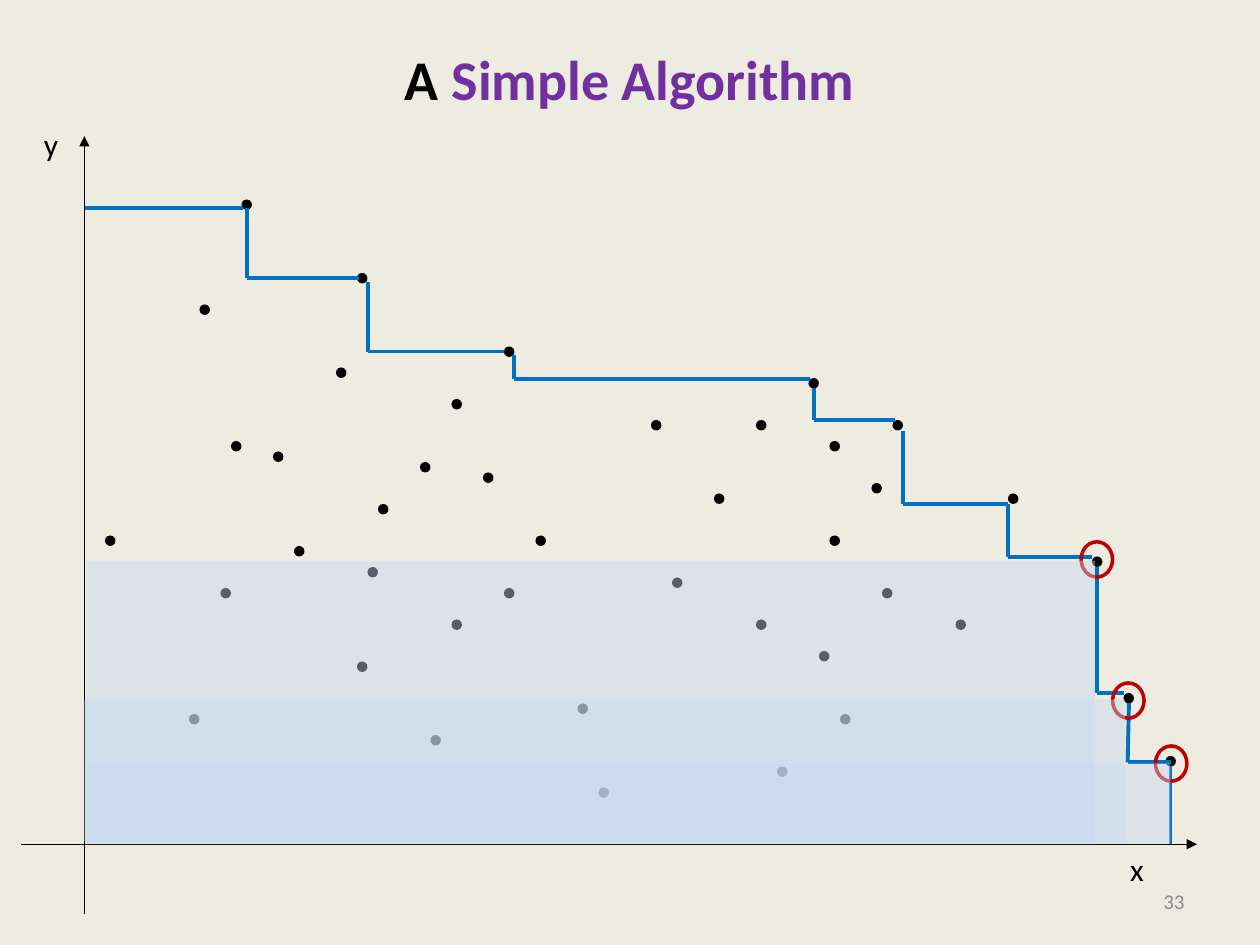
from dataclasses import dataclass

from lxml import etree
from pptx import Presentation
from pptx.dml.color import RGBColor
from pptx.enum import shapes, text
from pptx.oxml import ns
from pptx.util import Inches, Pt


@dataclass(frozen=True)
class Theme:
    font: str = "Calibri"
    back: str = "EEECE1"
    ink: str = "000000"
    accent: str = "7030A0"
    stair: str = "0070C0"
    ring: str = "C00000"
    shade: str = "C6D9F1"
    muted: str = "8C8C8C"
    title: int = 32
    label: int = 18
    small: int = 12


def color(code):
    return RGBColor.from_string(code)


def child(parent, tag, **attrs):
    return etree.SubElement(parent, ns.qn(tag), attrs)


class Board:
    def __init__(self, slide, theme):
        self.slide, self.theme = slide, theme
        fill = slide.background.fill
        fill.solid()
        fill.fore_color.rgb = color(theme.back)

    def label(self, box, runs, size, align="LEFT", anchor="TOP", bold=False, wrap=True):
        """Add a text box from (words, colour) runs."""
        frame = self.slide.shapes.add_textbox(*map(Inches, box)).text_frame
        frame.word_wrap = wrap
        frame.vertical_anchor = text.MSO_ANCHOR[anchor]
        if not wrap:
            frame.auto_size = text.MSO_AUTO_SIZE.SHAPE_TO_FIT_TEXT
        para = frame.paragraphs[0]
        para.alignment = text.PP_ALIGN[align]
        for words, code in runs:
            run = para.add_run()
            run.text = words
            run.font.name, run.font.size, run.font.bold = self.theme.font, Pt(size), bold
            run.font.color.rgb = color(code)

    def shape(self, kind, box, fill=None, edge=None, alpha=None):
        item = self.slide.shapes.add_shape(shapes.MSO_SHAPE[kind], *map(Inches, box))
        item.shadow.inherit = False
        if fill:
            item.fill.solid()
            item.fill.fore_color.rgb = color(fill)
        else:
            item.fill.background()
        if edge:
            item.line.color.rgb = color(edge)
            item.line.width = Pt(2)
        else:
            item.line.fill.background()
        if alpha:
            tone = item.element.spPr.find(".//" + ns.qn("a:srgbClr"))
            child(tone, "a:alpha", val=str(alpha * 1000))

    def line(self, start, end, code, width, arrow=False):
        """Draw a straight line; an arrow points at its end."""
        item = self.slide.shapes.add_connector(
            shapes.MSO_CONNECTOR.STRAIGHT, *map(Inches, (*start, *end)))
        item.line.color.rgb = color(code)
        item.line.width = Pt(width)
        props = item.element.spPr
        if arrow:
            child(props.find(ns.qn("a:ln")), "a:tailEnd", type="triangle")
        child(props, "a:effectLst")


GRID = 1 / 12  # dots sit on this grid and are one cell wide
DOTS = {  # row: columns
    19: [23], 26: [34], 29: [19], 33: [48], 35: [32], 36: [77], 38: [43],
    40: [62, 72, 85], 42: [22, 79], 43: [26], 44: [40], 45: [46], 46: [83],
    47: [68, 96], 48: [36], 51: [10, 51, 79], 52: [28], 53: [104], 54: [35],
    55: [64], 56: [21, 48, 84], 59: [43, 72, 91], 62: [78], 63: [34],
    66: [107], 67: [55], 68: [18, 80], 70: [41], 72: [111], 73: [74], 75: [57],
}
TREADS = [  # y, left, right
    (1.65, 0.67, 1.93), (2.21, 1.96, 2.85), (2.79, 2.92, 4), (3.01, 4.08, 6.43),
    (3.33, 6.46, 7.1), (4, 7.17, 8), (4.42, 8, 8.67), (5.5, 8.71, 8.92),
    (6.05, 8.95, 9.29),
]
DROPS = [  # x at top, top, x at bottom, bottom
    (1.96, 1.65, 1.96, 2.21), (2.92, 2.24, 2.92, 2.79), (4.08, 2.82, 4.08, 3.01),
    (6.46, 3.08, 6.46, 3.33), (7.17, 3.42, 7.17, 4), (8, 4, 8, 4.42),
    (8.71, 4.5, 8.71, 5.5), (8.96, 5.58, 8.95, 6.05), (9.29, 6.08, 9.29, 6.7),
]
RINGS = [(9.17, 5.92), (8.83, 5.42), (8.58, 4.3)]
SHADES = [(0.69, 6.06, 8.6, 0.64), (0.67, 5.55, 8.26, 1.13), (0.68, 4.45, 8.01, 2.25)]


def main():
    deck = Presentation()
    deck.slide_width, deck.slide_height = Inches(10), Inches(7.5)
    theme = Theme()
    board = Board(deck.slides.add_slide(deck.slide_layouts[6]), theme)

    board.label((0.5, 0.3, 9, 1.25), [("A ", theme.ink), ("Simple Algorithm", theme.accent)],
                theme.title, align="CENTER", bold=True)
    board.label((7.17, 6.95, 2.33, 0.4), [("33", theme.muted)], theme.small,
                align="RIGHT", anchor="MIDDLE")

    for row, cols in DOTS.items():
        for col in cols:
            board.shape("OVAL", (col * GRID, row * GRID, GRID, GRID), fill=theme.ink)
    for y, left, right in TREADS:
        board.line((left, y), (right, y), theme.stair, 2.25)
    for x, top, foot, base in DROPS:
        board.line((foot, base), (x, top), theme.stair, 2.25)
    for spot in RINGS:
        board.shape("OVAL", (*spot, 0.25, 0.28), edge=theme.ring)

    board.line((0.67, 7.25), (0.67, 1.08), theme.ink, 0.75, arrow=True)
    board.line((0.17, 6.7), (9.5, 6.7), theme.ink, 0.75, arrow=True)
    for name, left, top in [("y", 0.25, 0.94), ("x", 8.87, 6.7)]:
        board.label((left, top, 0.32, 0.4), [(name, theme.ink)], theme.label, wrap=False)
    for box in SHADES:
        board.shape("RECTANGLE", box, fill=theme.shade, alpha=44)

    deck.save("out.pptx")


if __name__ == "__main__":
    main()
